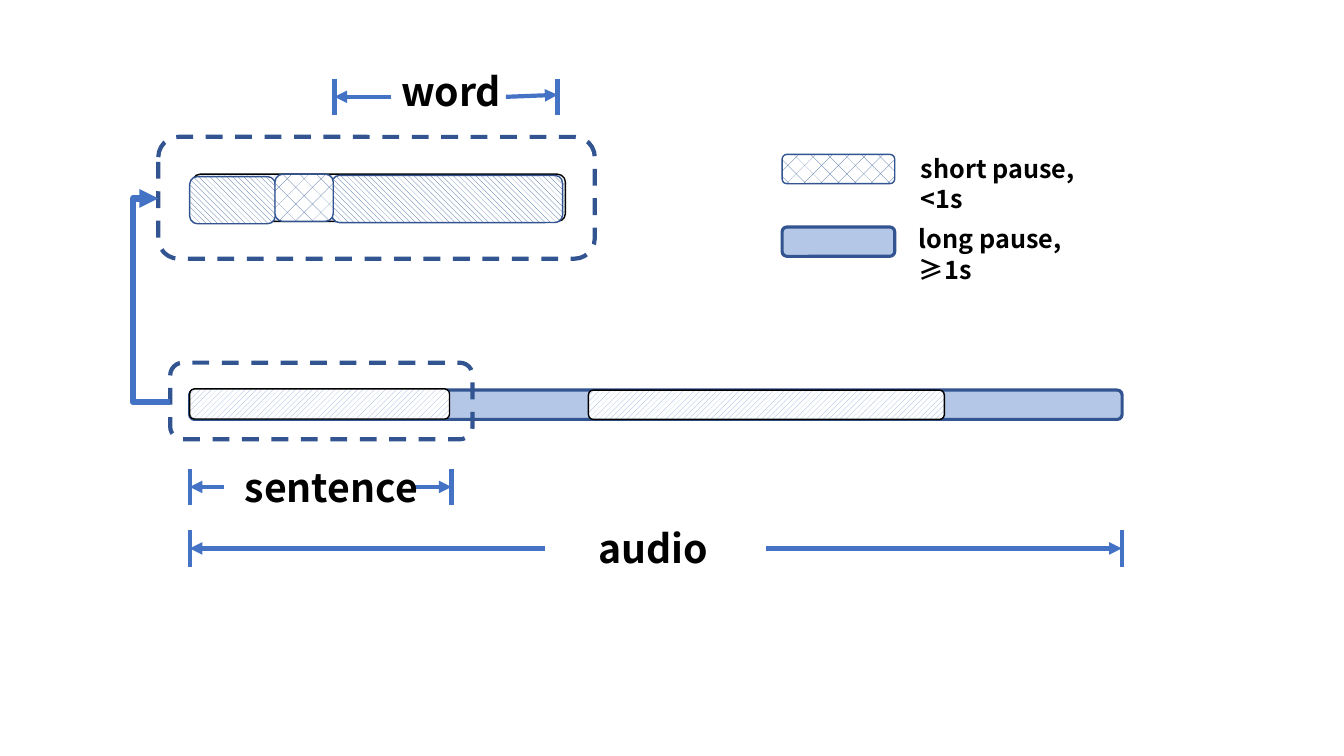
from dataclasses import dataclass
from typing import Optional

from lxml import etree
from pptx import Presentation
from pptx.dml.color import RGBColor
from pptx.enum.dml import MSO_LINE, MSO_PATTERN
from pptx.enum.shapes import MSO_CONNECTOR, MSO_SHAPE
from pptx.oxml.ns import qn
from pptx.util import Cm, Pt

ROUNDED = MSO_SHAPE.ROUNDED_RECTANGLE
STRAIGHT, ELBOW = MSO_CONNECTOR.STRAIGHT, MSO_CONNECTOR.ELBOW
DASH = MSO_LINE.DASH
UP_HATCH = MSO_PATTERN.WIDE_UPWARD_DIAGONAL
DOWN_HATCH = MSO_PATTERN.WIDE_DOWNWARD_DIAGONAL
BRICK = MSO_PATTERN.DIAGONAL_BRICK
FONT = "Noto Sans CJK SC"
COLORS = {
    "arrow": "4472C4", "outline": "325491", "pause": "B4C7E7", "black": "000000",
    "white": "FFFFFF", "light hatch": "8FAADC", "dark hatch": "2F5597",
}


@dataclass
class Style:
    line: str
    width: float
    fill: Optional[str] = None
    pattern: Optional[MSO_PATTERN] = None
    dashed: bool = False


@dataclass
class Bar:
    left: float
    top: float
    width: float
    height: float
    style: Style


@dataclass
class Label:
    text: str
    left: float
    top: float
    width: float
    size: float


@dataclass
class Span:
    """Two end ticks with arrows pointing outwards from a label."""
    left: float
    right: float
    y: float
    inner_left: float
    inner_right: float
    label: Label
    rise: float = 0


LONG_PAUSE = Style("outline", 2.25, "pause")
SHORT_PAUSE = Style("outline", 1, "dark hatch", BRICK)
SENTENCE = Style("black", 1, "light hatch", UP_HATCH)
WORD = Style("outline", 1, "dark hatch", DOWN_HATCH)
FRAME = Style("outline", 3, dashed=True)

BARS = [
    # Audio with its sentences
    Bar(4.78, 9.83, 23.5, 0.74, LONG_PAUSE),
    Bar(4.78, 9.8, 6.55, 0.76, SENTENCE),
    Bar(14.83, 9.83, 8.97, 0.74, SENTENCE),
    Bar(4.29, 9.14, 7.62, 1.93, FRAME),
    # Enlarged sentence with its words
    Bar(4.85, 4.39, 9.4, 1.19, SENTENCE),
    Bar(3.99, 3.45, 11, 3.07, FRAME),
    Bar(4.78, 4.45, 2.16, 1.19, WORD),
    Bar(8.36, 4.42, 5.82, 1.19, WORD),
    Bar(6.93, 4.39, 1.47, 1.19, SHORT_PAUSE),
    # Legend swatches
    Bar(19.71, 3.89, 2.84, 0.74, SHORT_PAUSE),
    Bar(19.71, 5.72, 2.84, 0.74, LONG_PAUSE),
]
SPANS = [
    Span(4.78, 28.27, 13.82, 13.74, 19.3, Label("audio", 14.83, 13.08, 4.7, 28)),
    Span(4.78, 11.38, 12.27, 5.64, 10.46, Label("sentence", 5.92, 11.56, 5.16, 28)),
    Span(8.43, 14.05, 2.44, 9.86, 12.75, Label("word", 9.86, 1.57, 5.16, 28), 0.05),
]
LEGEND = [
    Label("short pause, <1s", 22.96, 3.73, 5.31, 18),
    Label("long pause, ≥1s", 22.91, 5.51, 5.11, 18),
]


def color(name: str) -> RGBColor:
    return RGBColor.from_string(COLORS[name])


def add_bar(page, bar: Bar) -> None:
    style = bar.style
    shape = page.shapes.add_shape(
        ROUNDED, Cm(bar.left), Cm(bar.top), Cm(bar.width), Cm(bar.height))
    shape.shadow.inherit = False
    if style.pattern is not None:
        shape.fill.patterned()
        shape.fill.pattern = style.pattern
        shape.fill.fore_color.rgb = color(style.fill)
        shape.fill.back_color.rgb = color("white")
    elif style.fill:
        shape.fill.solid()
        shape.fill.fore_color.rgb = color(style.fill)
    else:
        shape.fill.background()
    shape.line.color.rgb = color(style.line)
    shape.line.width = Pt(style.width)
    if style.dashed:
        shape.line.dash_style = DASH


def add_line(page, x1: float, y1: float, x2: float, y2: float,
             arrow: bool = False, width: float = 3, kind=STRAIGHT):
    line = page.shapes.add_connector(kind, Cm(x1), Cm(y1), Cm(x2), Cm(y2))
    line.line.color.rgb = color("arrow")
    line.line.width = Pt(width)
    if arrow:
        outline = line.line._get_or_add_ln()
        etree.SubElement(outline, qn("a:tailEnd"), type="triangle")
    etree.SubElement(line._element.spPr, qn("a:effectLst"))
    return line


def add_label(page, label: Label) -> None:
    box = page.shapes.add_textbox(
        Cm(label.left), Cm(label.top), Cm(label.width), Cm(1.02))
    box.text_frame.word_wrap = True
    box.text_frame.text = label.text
    font = box.text_frame.paragraphs[0].runs[0].font
    font.size, font.bold, font.name = Pt(label.size), True, FONT
    font.color.rgb = color("black")
    etree.SubElement(font._element, qn("a:ea"), typeface=FONT)


def add_span(page, span: Span) -> None:
    for x, y in ((span.left, span.y), (span.right, span.y)):
        add_line(page, x, y - 0.46, x, y + 0.46)
    add_line(page, span.inner_left, span.y, span.left, span.y, arrow=True)
    add_line(page, span.inner_right, span.y, span.right, span.y - span.rise, arrow=True)
    add_label(page, span.label)


def add_zoom_arrow(page) -> None:
    """Leads from the sentence frame round the left to its enlargement."""
    arrow = add_line(page, 3.99, 5, 4.29, 10.13, True, 4.5, ELBOW)
    arrow._element.spPr.find(qn("a:xfrm")).set("rot", "10800000")
    geometry = arrow._element.spPr.find(qn("a:prstGeom"))
    guides = geometry.find(qn("a:avLst"))
    etree.SubElement(guides, qn("a:gd"), name="adj1", fmla="val 313600")


def main() -> None:
    deck = Presentation()
    deck.slide_width, deck.slide_height = Cm(33.87), Cm(19.05)
    page = deck.slides.add_slide(deck.slide_layouts[6])
    for bar in BARS:
        add_bar(page, bar)
    add_zoom_arrow(page)
    for span in SPANS:
        add_span(page, span)
    for label in LEGEND:
        add_label(page, label)
    deck.save("out.pptx")


if __name__ == "__main__":
    main()
